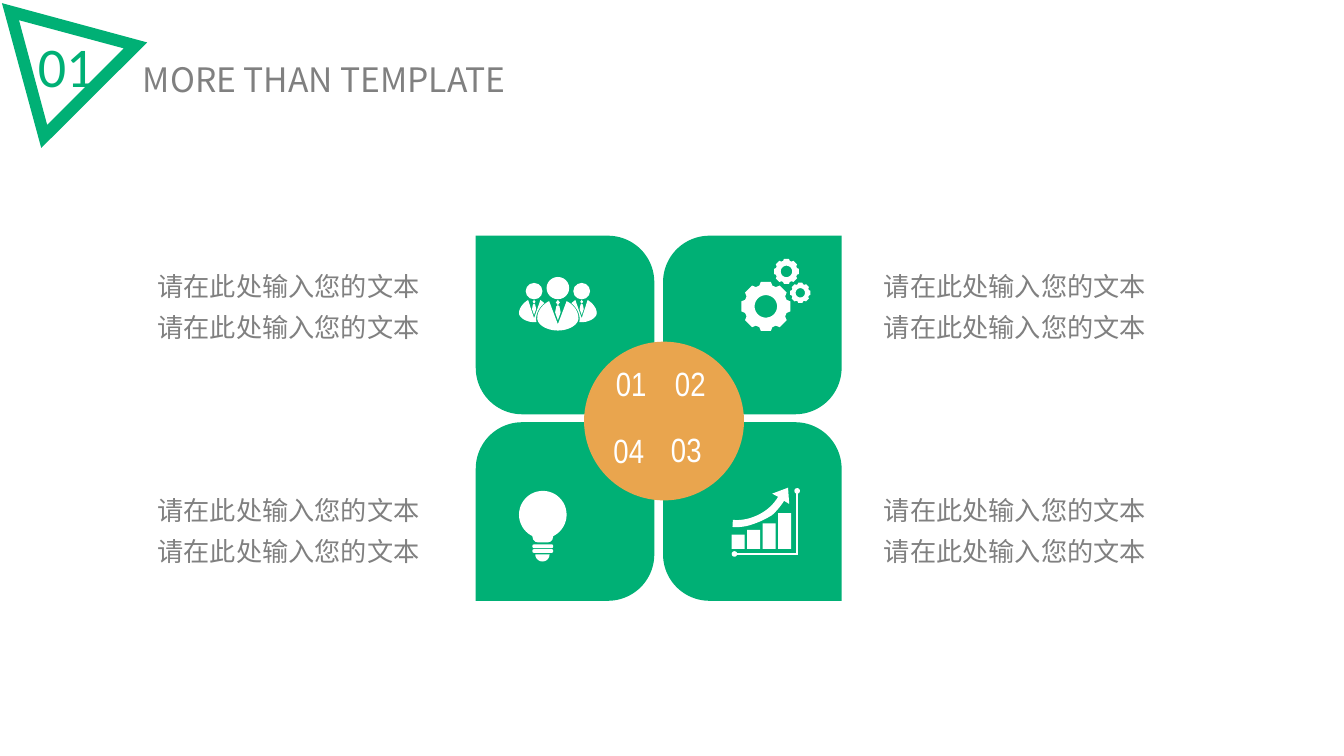
import math

import pptx
import pptx.dml.color
import pptx.enum.shapes
import pptx.enum.text
import pptx.oxml.ns
import pptx.util
from lxml import etree

Cm = pptx.util.Cm
SHAPES = pptx.enum.shapes.MSO_SHAPE
ALIGN = pptx.enum.text.PP_ALIGN
ANCHOR = pptx.enum.text.MSO_ANCHOR

COLORS = {"green": "00B075", "orange": "E9A54E", "grey": "808080", "white": "FFFFFF"}
CJK = "Noto Sans CJK SC"
CAPTION = "请在此处输入您的文本\n请在此处输入您的文本"

# Icon outlines in cm: pairs are corners, sextuples are Bézier curves.
BODY = [(0.52, 1.04), (0.52, 0.86, 0.39, 0.69, 0.22, 0.61), (0, 1.19), (-0.22, 0.61),
        (-0.39, 0.69, -0.52, 0.86, -0.52, 1.04), (-0.52, 1.19, -0.3, 1.35, 0, 1.35),
        (0.3, 1.35, 0.52, 1.19, 0.52, 1.04)]
SIDE_BODY = [(0.55, 1.07), (0.55, 0.9, 0.46, 0.76, 0.34, 0.66), (0.44, 0.58), (0.6, 1.04),
             (0.75, 0.58), (0.88, 0.66, 0.98, 0.79, 0.98, 0.91),
             (0.98, 1.02, 0.8, 1.14, 0.6, 1.14), (0.54, 1.14)]
KNOT = [(0, 0.58), (0.05, 0.64), (0, 0.71), (-0.05, 0.64)]
TIE = [(0.04, 0.74), (0, 0.71), (-0.04, 0.74), (-0.07, 0.89), (0, 1.09), (0.07, 0.89)]
ARROW = [(1.45, 0.41), (1.42, 0), (1.02, 0.15), (1.17, 0.23),
         (1.02, 0.48, 0.79, 0.66, 0.48, 0.76), (0.23, 0.84, 0.03, 0.81, 0.03, 0.81),
         (0.02, 0.99), (0.05, 0.99, 0.28, 1.02, 0.56, 0.91),
         (0.71, 0.86, 0.86, 0.79, 1.02, 0.69), (1.14, 0.58, 1.24, 0.46, 1.32, 0.33)]
BULB_TIP = [(0.41, 1.6), (0.41, 1.7, 0.5, 1.78, 0.59, 1.78), (0.69, 1.78, 0.77, 1.7, 0.77, 1.6)]


def rgb(color):
    return pptx.dml.color.RGBColor.from_string(COLORS[color])


def paint(shape, color):
    shape.shadow.inherit = False
    shape.fill.solid()
    shape.fill.fore_color.rgb = rgb(color)
    shape.line.fill.background()
    return shape


def add_preset(slide, kind, left, top, width, height, color="white", adjustments=()):
    shape = slide.shapes.add_shape(kind, Cm(left), Cm(top), Cm(width), Cm(height))
    for index, value in enumerate(adjustments):
        shape.adjustments[index] = value
    return paint(shape, color)


def flatten(outline, steps=12):
    """Turn corners and Bézier curves into a plain list of points."""
    points = []
    for segment in outline:
        if len(segment) == 2:
            points.append(segment)
            continue
        x0, y0 = points[-1]
        x1, y1, x2, y2, x3, y3 = segment
        for step in range(1, steps + 1):
            t = step / steps
            a, b, c, d = (1 - t) ** 3, 3 * t * (1 - t) ** 2, 3 * t * t * (1 - t), t ** 3
            points.append((a * x0 + b * x1 + c * x2 + d * x3,
                           a * y0 + b * y1 + c * y2 + d * y3))
    return points


def add_outline(slide, outlines, left=0, top=0, color="white", scale=1, mirror=1):
    """Draw one filled freeform; later outlines cut holes in the first."""
    builder = None
    for outline in outlines:
        points = [(Cm(left + mirror * scale * x), Cm(top + scale * y))
                  for x, y in flatten(outline)]
        if builder is None:
            builder = slide.shapes.build_freeform(*points[0])
        else:
            builder.move_to(*points[0])
        builder.add_line_segments(points[1:], close=True)
    return paint(builder.convert_to_shape(), color)


def add_line(slide, x1, y1, x2, y2):
    line = slide.shapes.add_connector(
        pptx.enum.shapes.MSO_CONNECTOR.STRAIGHT, Cm(x1), Cm(y1), Cm(x2), Cm(y2))
    line.line.color.rgb = rgb("white")
    line.line.width = pptx.util.Pt(1.4)
    etree.SubElement(line.element.spPr, pptx.oxml.ns.qn("a:effectLst"))
    return line


def write_text(box, text, *, font, size, color, align=ALIGN.LEFT, anchor=ANCHOR.TOP,
               spacing=None, wrap=True):
    frame = box.text_frame
    frame.word_wrap = wrap
    frame.auto_size = pptx.enum.text.MSO_AUTO_SIZE.SHAPE_TO_FIT_TEXT
    frame.vertical_anchor = anchor
    for index, line in enumerate(text.split("\n")):
        para = frame.add_paragraph() if index else frame.paragraphs[0]
        para.alignment = align
        para.space_before = pptx.util.Pt(0)
        para.line_spacing = spacing
        span = para.add_run()
        span.text = line
        span.font.name = font
        span.font.size = pptx.util.Pt(size)
        span.font.color.rgb = rgb(color)
        east_asian = etree.SubElement(span.font._element, pptx.oxml.ns.qn("a:ea"))
        east_asian.set("typeface", font)


def add_text(slide, text, left, top, width, height, **text_format):
    box = slide.shapes.add_textbox(Cm(left), Cm(top), Cm(width), Cm(height))
    write_text(box, text, **text_format)


def circle_points(radius, count=36):
    angles = [2 * math.pi * index / count for index in range(count)]
    return [(radius * math.cos(angle), radius * math.sin(angle)) for angle in angles]


def add_gear(slide, center_x, center_y, radius):
    rim = []
    for tooth in range(8):
        for offset, reach in ((-11.5, 1), (11.5, 1), (17.5, 0.87), (27.5, 0.87)):
            angle = math.radians(45 * tooth + offset)
            rim.append((reach * radius * math.cos(angle), reach * radius * math.sin(angle)))
    return add_outline(slide, [rim, circle_points(0.45 * radius)], center_x, center_y)


def add_person(slide, center_x, top, scale):
    """Draw a head and a tie."""
    head = add_preset(slide, SHAPES.OVAL, center_x - 0.285 * scale, top,
                      0.57 * scale, 0.56 * scale)
    return [head] + [add_outline(slide, [part], center_x, top, scale=scale)
                     for part in (KNOT, TIE)]


def add_people_icon(slide, center_x, top):
    parts = add_person(slide, center_x, top, 1)
    parts.append(add_outline(slide, [BODY], center_x, top))
    for side in (-1, 1):
        parts += add_person(slide, center_x + side * 0.6, top + 0.15, 0.74)
        parts.append(add_outline(slide, [SIDE_BODY], center_x, top, mirror=side))
    slide.shapes.add_group_shape(parts)


def add_gears_icon(slide):
    gears = ((19.3, 7.72, 0.63), (19.82, 6.84, 0.32), (20.17, 7.38, 0.26))
    slide.shapes.add_group_shape([add_gear(slide, *gear) for gear in gears])


def add_chart_icon(slide, left, top):
    parts = [add_outline(slide, [ARROW], left, top)]
    for index, height in enumerate((0.36, 0.48, 0.64, 0.9)):
        parts.append(add_preset(slide, SHAPES.RECTANGLE, left + 0.39 * index,
                                top + 1.54 - height, 0.33, height))
    right, base = left + 1.65, top + 1.67
    parts.append(add_line(slide, right, top + 0.08, right, base + 0.02))
    parts.append(add_line(slide, left + 0.07, base, right, base))
    for x, y in ((right, top + 0.08), (left + 0.07, base)):
        parts.append(add_preset(slide, SHAPES.OVAL, x - 0.07, y - 0.07, 0.14, 0.14))
    slide.shapes.add_group_shape(parts)


def add_bulb_icon(slide, left, top):
    parts = [add_preset(slide, SHAPES.OVAL, left, top, 1.2, 1.2),
             add_outline(slide, [BULB_TIP], left, top)]
    for y, height in ((0.9, 0.4), (1.35, 0.09), (1.47, 0.09)):
        parts.append(add_preset(slide, SHAPES.ROUNDED_RECTANGLE, left + 0.34, top + y,
                                0.52, height, adjustments=[0.35]))
    slide.shapes.add_group_shape(parts)


def add_petals(slide):
    for row in range(2):
        for column in range(2):
            corners = (0, 0.26) if row == column else (0.26, 0)
            add_preset(slide, SHAPES.ROUND_2_DIAG_RECTANGLE, 11.99 + 4.72 * column,
                       5.94 + 4.7 * row, 4.5, 4.5, "green", corners)
    add_preset(slide, SHAPES.OVAL, 14.72, 8.61, 4.03, 4, "orange")


def main():
    deck = pptx.Presentation()
    deck.slide_width, deck.slide_height = Cm(33.87), Cm(19.05)
    slide = deck.slides.add_slide(deck.slide_layouts[5])

    title = slide.shapes.title
    title.left, title.top, title.width, title.height = Cm(2.06), Cm(1.35), Cm(12.22), Cm(1.3)
    write_text(title, "MORE THAN TEMPLATE", font=CJK, size=24, color="grey",
               align=ALIGN.CENTER, anchor=ANCHOR.MIDDLE)
    add_text(slide, "01", 0.69, 0.66, 1.96, 1.96, font="Calibri", size=40, color="green",
             align=ALIGN.CENTER, anchor=ANCHOR.MIDDLE, wrap=False)
    add_outline(slide, [[(0.05, 0.08), (3.71, 1.07), (1.04, 3.73)],
                        [(0.48, 0.51), (1.19, 3.15), (3.12, 1.22)]], color="green")

    add_petals(slide)
    for number, left, top in (("01", 15.27, 9.02), ("02", 16.76, 9.02),
                              ("04", 15.21, 10.72), ("03", 16.66, 10.69)):
        add_text(slide, number, left, top, 1.4, 1.3, font="Arial Narrow", size=24,
                 color="white", wrap=False)

    add_people_icon(slide, 14.06, 6.98)
    add_gears_icon(slide)
    add_chart_icon(slide, 18.44, 12.29)
    add_bulb_icon(slide, 13.08, 12.37)

    for top in (6.45, 12.09):
        for left in (3.56, 21.87):
            add_text(slide, CAPTION, left, top, 7.42, 2.34, font=CJK, size=18.7,
                     color="grey", align=ALIGN.CENTER, spacing=1.3)
    deck.save("out.pptx")


if __name__ == "__main__":
    main()
